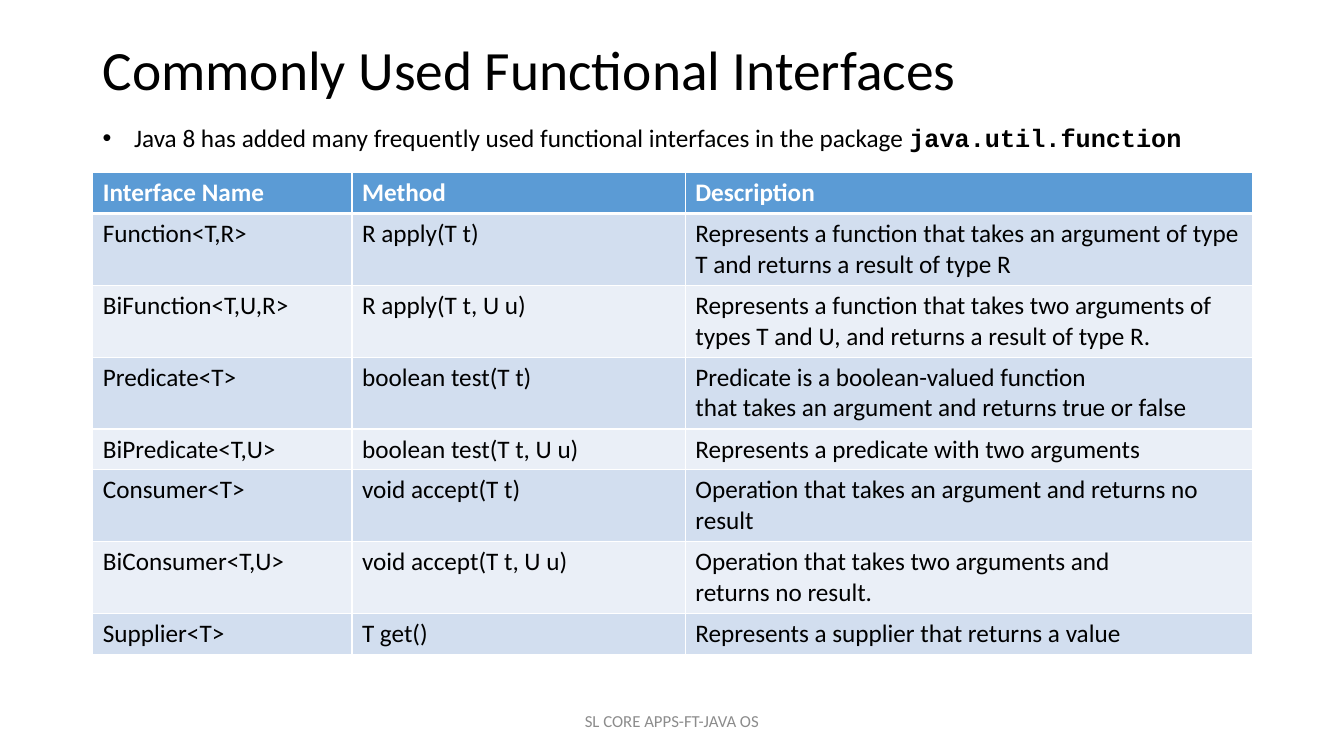
from lxml import etree
from pptx import Presentation
from pptx.dml.color import RGBColor
from pptx.enum.text import MSO_ANCHOR, PP_ALIGN
from pptx.oxml.ns import qn
from pptx.util import Cm, Pt

MIDDLE, TOP = MSO_ANCHOR.MIDDLE, MSO_ANCHOR.TOP
LEFT, CENTER = PP_ALIGN.LEFT, PP_ALIGN.CENTER

# Content
TITLE = "Commonly Used Functional Interfaces"
INTRO = "Java 8 has added many frequently used functional interfaces in the package "
PACKAGE = "java.util.function"
FOOTER = "SL CORE APPS-FT-JAVA OS"
HEADER = ("Interface Name", "Method", "Description")
# Each interface ends with the number of lines its description takes
INTERFACES = [
    ("Function<T,R>", "R apply(T t)",
     "Represents a function that takes an argument of type T and returns a result of type R", 2),
    ("BiFunction<T,U,R>", "R apply(T t, U u)",
     "Represents a function that takes two arguments of types T and U, "
     "and returns a result of type R.", 2),
    ("Predicate<T>", "boolean test(T t)",
     "Predicate is a boolean-valued function\nthat takes an argument and returns true or false", 2),
    ("BiPredicate<T,U>", "boolean test(T t, U u)", "Represents a predicate with two arguments", 1),
    ("Consumer<T>", "void accept(T t)",
     "Operation that takes an argument and returns no result", 2),
    ("BiConsumer<T,U>", "void accept(T t, U u)",
     "Operation that takes two arguments and\nreturns no result.", 2),
    ("Supplier<T>", "T get()", "Represents a supplier that returns a value", 1),
]

# Style and layout
COLORS = {"text": "000000", "white": "FFFFFF", "header": "5B9BD5",
          "odd": "D2DEEF", "even": "EAEFF7", "footer": "8C8C8C"}
BODY_FONT, CODE_FONT = "Calibri", "Courier New"
MARGIN = 2.34
COLUMN_WIDTHS = (6.53, 8.4, 14.29)
LINE_HEIGHT, CELL_PADDING = 0.78, 0.25


def format_run(run, size, color, bold=False, font=BODY_FONT):
    run.font.name = font
    run.font.size = Pt(size)
    run.font.bold = bold
    run.font.color.rgb = RGBColor.from_string(COLORS[color])


def add_text(slide, box, parts, size, color="text", anchor=TOP, align=LEFT):
    """Add a one-paragraph text box; parts are (text, font, bold)."""
    frame = slide.shapes.add_textbox(*(Cm(length) for length in box)).text_frame
    frame.word_wrap = True
    frame.vertical_anchor = anchor
    paragraph = frame.paragraphs[0]
    paragraph.alignment = align
    for text, font, bold in parts:
        run = paragraph.add_run()
        run.text = text
        format_run(run, size, color, bold, font)
    return paragraph


def add_bullet(paragraph, indent):
    properties = paragraph._p.get_or_add_pPr()
    properties.set("marL", str(Cm(indent)))
    properties.set("indent", str(-Cm(indent)))
    etree.SubElement(properties, qn("a:buFont")).set("typeface", "Arial")
    etree.SubElement(properties, qn("a:buChar")).set("char", "•")


def set_borders(cell, widths):
    properties = cell._tc.get_or_add_tcPr()
    for side, width in widths.items():
        line = etree.SubElement(properties, qn("a:ln" + side), w=str(Pt(width)))
        fill = etree.SubElement(line, qn("a:solidFill"))
        etree.SubElement(fill, qn("a:srgbClr"), val=COLORS["white"])


presentation = Presentation()
presentation.slide_width, presentation.slide_height = Cm(33.87), Cm(19.05)
slide = presentation.slides.add_slide(presentation.slide_layouts[6])

# Title
title = add_text(slide, (MARGIN, 1.02, 29.21, 1.6), [(TITLE, BODY_FONT, False)], 39.6, anchor=MIDDLE)
title.line_spacing = 0.9

# Table of interfaces
rows = [(*HEADER, 1)] + INTERFACES
heights = [lines * LINE_HEIGHT + CELL_PADDING for *_, lines in rows]
table = slide.shapes.add_table(
    len(rows), len(HEADER), Cm(MARGIN), Cm(4.35),
    Cm(sum(COLUMN_WIDTHS)), Cm(sum(heights))).table
for column, width in zip(table.columns, COLUMN_WIDTHS):
    column.width = Cm(width)

for row_index, (*texts, lines) in enumerate(rows):
    table.rows[row_index].height = Cm(heights[row_index])
    is_header = row_index == 0
    fill_color = "header" if is_header else ("even", "odd")[row_index % 2]
    top, bottom = (3 if row_index == 1 else 1), (3 if is_header else 1)
    for column_index, text in enumerate(texts):
        cell = table.cell(row_index, column_index)
        set_borders(cell, {"L": 1, "R": 1, "T": top, "B": bottom})
        cell.fill.solid()
        cell.fill.fore_color.rgb = RGBColor.from_string(COLORS[fill_color])
        cell.text_frame.text = text
        for paragraph in cell.text_frame.paragraphs:
            for run in paragraph.runs:
                format_run(run, 18, "white" if is_header else "text", is_header)

# Introduction
intro = add_text(slide, (MARGIN, 2.97, 28.6, 1.02),
                 [(INTRO, BODY_FONT, False), (PACKAGE, CODE_FONT, True)], 18)
add_bullet(intro, 0.79)

# Footer
add_text(slide, (11.22, 17.65, 11.43, 1.02), [(FOOTER, BODY_FONT, False)], 12,
         "footer", MIDDLE, CENTER)

presentation.save("out.pptx")
